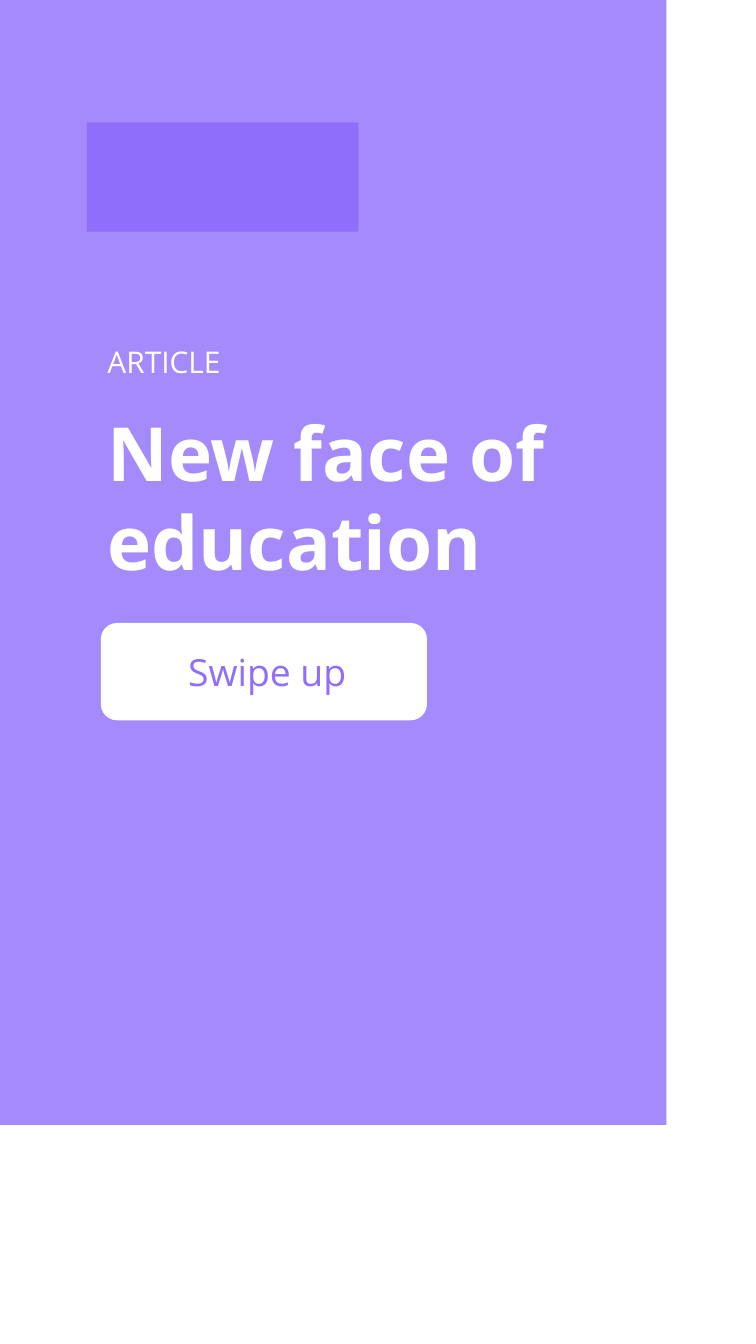
from lxml import etree
from pptx import Presentation
from pptx.dml.color import RGBColor
from pptx.enum.shapes import MSO_SHAPE
from pptx.enum.text import MSO_ANCHOR, PP_ALIGN
from pptx.oxml.ns import qn
from pptx.util import Emu, Pt

RECTANGLE = MSO_SHAPE.RECTANGLE
ROUNDED_RECTANGLE = MSO_SHAPE.ROUNDED_RECTANGLE
MIDDLE = MSO_ANCHOR.MIDDLE
CENTER = PP_ALIGN.CENTER

EMU_PER_PX = 9525
FONT = "Open Sans"
WHITE = "FFFFFF"
VIOLET = "8E6EFA"
INDIGO = "4A17F7"
MARGIN = 144
TEXT_WIDTH = 792


def px(length):
    return Emu(length * EMU_PER_PX)


def color(value):
    return RGBColor.from_string(value)


def add_block(slide, kind, left, top, width, height, fill, opacity=100):
    shape = slide.shapes.add_shape(kind, px(left), px(top), px(width), px(height))
    shape.shadow.inherit = False
    shape.fill.solid()
    shape.fill.fore_color.rgb = color(fill)
    shape.line.fill.background()
    if opacity < 100:
        fill_color = shape.fill._xPr.find(qn("a:solidFill"))[0]
        etree.SubElement(fill_color, qn("a:alpha"), val=str(opacity * 1000))
    return shape


def write(text_frame, text, size, font_color, bold=False):
    text_frame.word_wrap = True
    paragraph = text_frame.paragraphs[0]
    paragraph.text = text
    font = paragraph.font
    font.name = FONT
    font.size = Pt(size)
    font.bold = bold
    font.color.rgb = color(font_color)
    return paragraph


def add_text(slide, text, left, top, width, height, size, bold=False):
    box = slide.shapes.add_textbox(px(left), px(top), px(width), px(height))
    write(box.text_frame, text, size, WHITE, bold)


def add_button(slide, text, left, top, width, height):
    button = add_block(slide, ROUNDED_RECTANGLE, left, top, width, height, WHITE)
    text_frame = button.text_frame
    text_frame.margin_left = px(19)
    text_frame.vertical_anchor = MIDDLE
    write(text_frame, text, 40, VIOLET).alignment = CENTER


def main():
    presentation = Presentation()
    presentation.slide_width = px(1080)
    presentation.slide_height = px(1920)
    slide = presentation.slides.add_slide(presentation.slide_layouts[6])

    add_block(slide, RECTANGLE, 0, 0, 952, 1607, INDIGO, opacity=50)
    add_text(slide, "New face of education", MARGIN, 576, TEXT_WIDTH, 268, 80, bold=True)
    add_text(slide, "ARTICLE", MARGIN, 486, TEXT_WIDTH, 61, 32)
    add_block(slide, RECTANGLE, 124, 175, 388, 156, VIOLET)
    add_button(slide, "Swipe up", MARGIN, 890, 466, 139)

    presentation.save("out.pptx")


if __name__ == "__main__":
    main()
